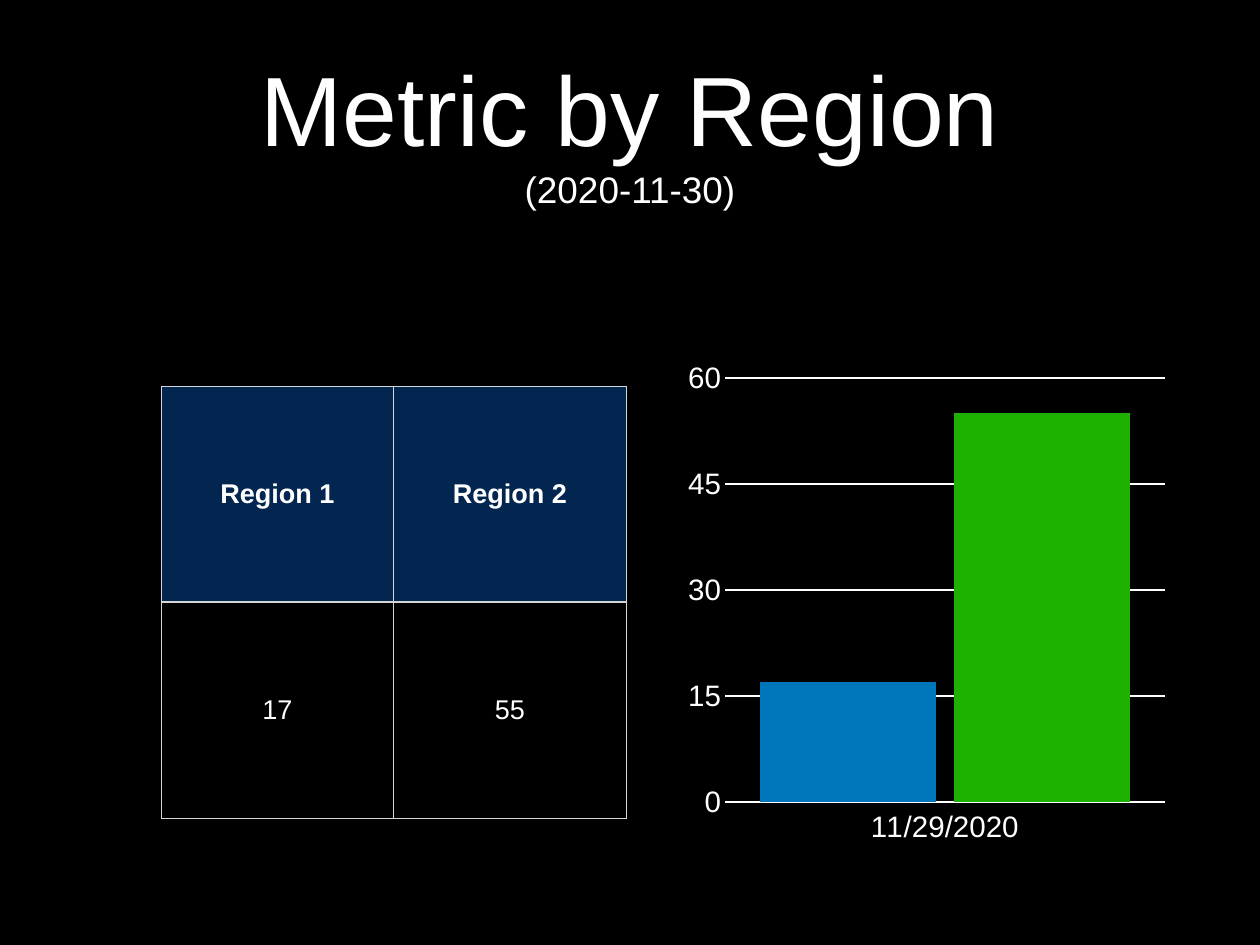
from lxml import etree
from pptx import Presentation
from pptx.chart.data import CategoryChartData
from pptx.dml.color import RGBColor
from pptx.enum import chart as ch, text
from pptx.oxml import ns
from pptx.util import Pt

BLACK = RGBColor(0x00, 0x00, 0x00)
WHITE = RGBColor(0xFF, 0xFF, 0xFF)
NAVY = RGBColor(0x03, 0x26, 0x50)
BLUE = RGBColor(0x00, 0x76, 0xBA)
GREEN = RGBColor(0x1D, 0xB1, 0x00)
GREY = RGBColor(0xD6, 0xD6, 0xD6)

FONT = "Arial"
INSET = Pt(4)
MARGINS = {f"margin_{side}": INSET for side in ("left", "top", "right", "bottom")}
REGIONS = {"Region 1": 17, "Region 2": 55}


def set_attrs(obj, values):
    for name, value in values.items():
        setattr(obj, name, value)


def set_font(font, size, bold=False):
    set_attrs(font, {"name": FONT, "size": Pt(size), "bold": bold})
    font.color.rgb = WHITE


def place(sp, box):
    set_attrs(sp, dict(zip(("left", "top", "width", "height"), map(Pt, box))))


def add_title(s, box, lines):
    """Fill the title placeholder with (wording, size) lines."""
    sp = s.shapes.title
    place(sp, box)
    tf = sp.text_frame
    set_attrs(tf, {**MARGINS, "word_wrap": True, "auto_size": text.MSO_AUTO_SIZE.NONE,
                   "vertical_anchor": text.MSO_ANCHOR.MIDDLE})
    for i, (wording, size) in enumerate(lines):
        p = tf.add_paragraph() if i else tf.paragraphs[0]
        p.alignment = text.PP_ALIGN.CENTER
        r = p.add_run()
        r.text = wording
        set_font(r.font, size)


def set_borders(cell, widths):
    """Draw the cell edges; widths maps L, R, T, B to points, in that order."""
    tc_pr = cell._tc.get_or_add_tcPr()
    for i, (side, width) in enumerate(widths.items()):
        ln = etree.Element(ns.qn(f"a:ln{side}"), w=str(Pt(width)))
        fill = etree.SubElement(ln, ns.qn("a:solidFill"))
        etree.SubElement(fill, ns.qn("a:srgbClr"), val=str(GREY))
        tc_pr.insert(i, ln)


def add_region_table(s, box):
    rows = (list(REGIONS), list(REGIONS.values()))
    table = s.shapes.add_table(len(rows), len(REGIONS), *map(Pt, box)).table
    set_attrs(table, {"first_row": False, "horz_banding": False})
    for i, row in enumerate(rows):
        header = i == 0
        for j, value in enumerate(row):
            cell = table.cell(i, j)
            set_attrs(cell, {**MARGINS, "vertical_anchor": text.MSO_ANCHOR.MIDDLE})
            if header:
                cell.fill.solid()
                cell.fill.fore_color.rgb = NAVY
            else:
                cell.fill.background()
            set_borders(cell, {"L": 1, "R": 1, "T": 1, "B": 2 if header else 1})
            p = cell.text_frame.paragraphs[0]
            p.alignment = text.PP_ALIGN.CENTER
            r = p.add_run()
            r.text = str(value)
            set_font(r.font, 22, header)


def set_plot_area(chart, x, y, w, h):
    """Fix the inner plot area as fractions of the chart."""
    plot_area = chart._chartSpace.chart.plotArea
    for old in plot_area.findall(ns.qn("c:layout")):
        plot_area.remove(old)
    layout = etree.Element(ns.qn("c:layout"))
    manual = etree.SubElement(layout, ns.qn("c:manualLayout"))
    values = {"layoutTarget": "inner", "xMode": "edge", "yMode": "edge",
              "x": x, "y": y, "w": w, "h": h}
    for name, value in values.items():
        etree.SubElement(manual, ns.qn(f"c:{name}"), val=str(value))
    plot_area.insert(0, layout)


def add_region_chart(s, box):
    data = CategoryChartData()
    data.categories = ["11/29/2020"]
    for i, value in enumerate(REGIONS.values(), 1):
        data.add_series(f"Series {i}", [value])
    chart = s.shapes.add_chart(ch.XL_CHART_TYPE.COLUMN_CLUSTERED, *map(Pt, box), data).chart
    set_attrs(chart, {"has_legend": False, "has_title": False})
    set_font(chart.font, 10)
    set_plot_area(chart, 0.115, 0.152, 0.88, 0.747)

    plot = chart.plots[0]
    set_attrs(plot, {"gap_width": 40, "overlap": -10, "vary_by_categories": False})
    for series, color in zip(plot.series, (BLUE, GREEN)):
        series.format.fill.solid()
        series.format.fill.fore_color.rgb = color

    cat, val = chart.category_axis, chart.value_axis
    for axis in (cat, val):
        set_attrs(axis, {"major_tick_mark": ch.XL_TICK_MARK.NONE,
                         "minor_tick_mark": ch.XL_TICK_MARK.NONE})
        set_font(axis.tick_labels.font, 24)
    cat.tick_label_position = ch.XL_TICK_LABEL_POSITION.LOW
    set_attrs(val, {"minimum_scale": 0, "maximum_scale": 60, "major_unit": 15,
                    "has_major_gridlines": True})
    val.format.line.fill.background()
    for line in (cat.format.line, val.major_gridlines.format.line):
        line.width = Pt(1)
        line.color.rgb = WHITE


def main():
    prs = Presentation()
    set_attrs(prs, {"slide_width": Pt(1024), "slide_height": Pt(768)})
    s = prs.slides.add_slide(prs.slide_layouts[5])
    s.background.fill.solid()
    s.background.fill.fore_color.rgb = BLACK
    add_title(s, (75, 20, 874, 170), [("Metric by Region", 80), ("(2020-11-30)", 30)])
    add_region_chart(s, (542, 237, 407, 461.5))
    add_region_table(s, (131, 314, 378, 351))
    prs.save("out.pptx")


if __name__ == "__main__":
    main()
